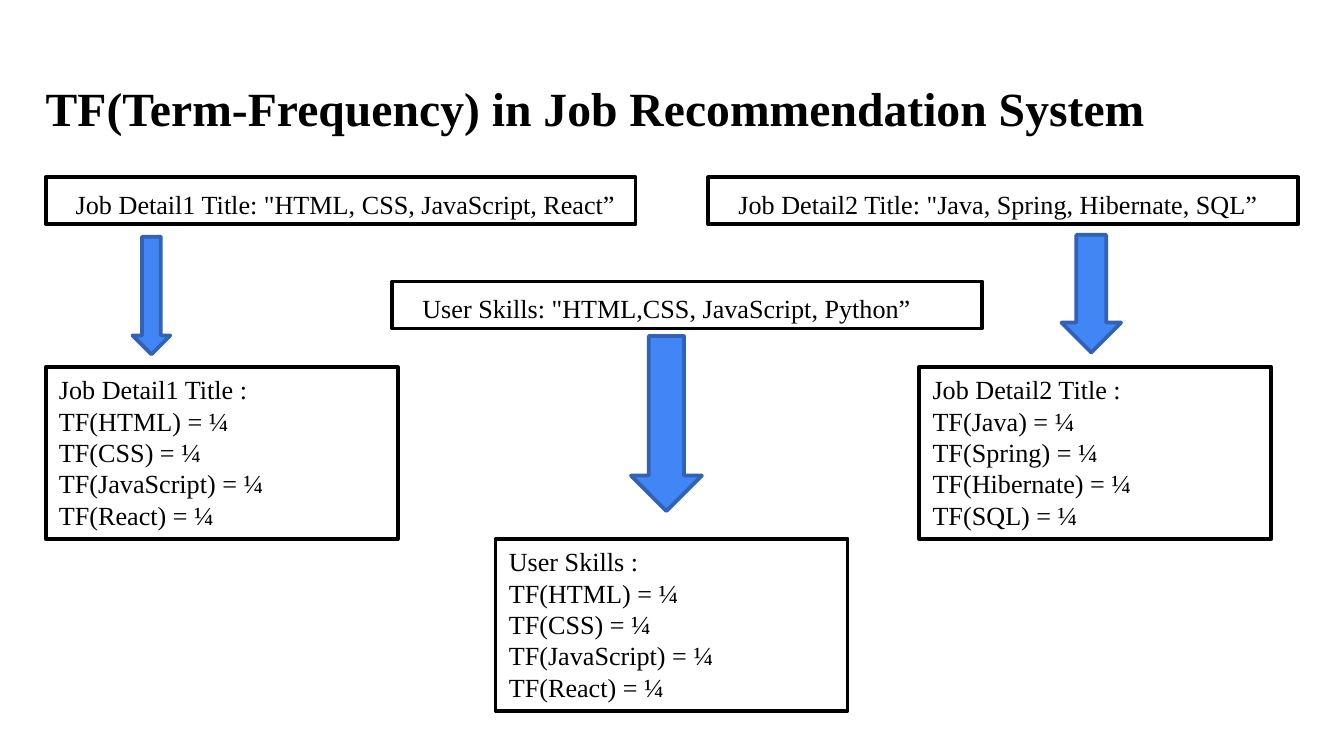
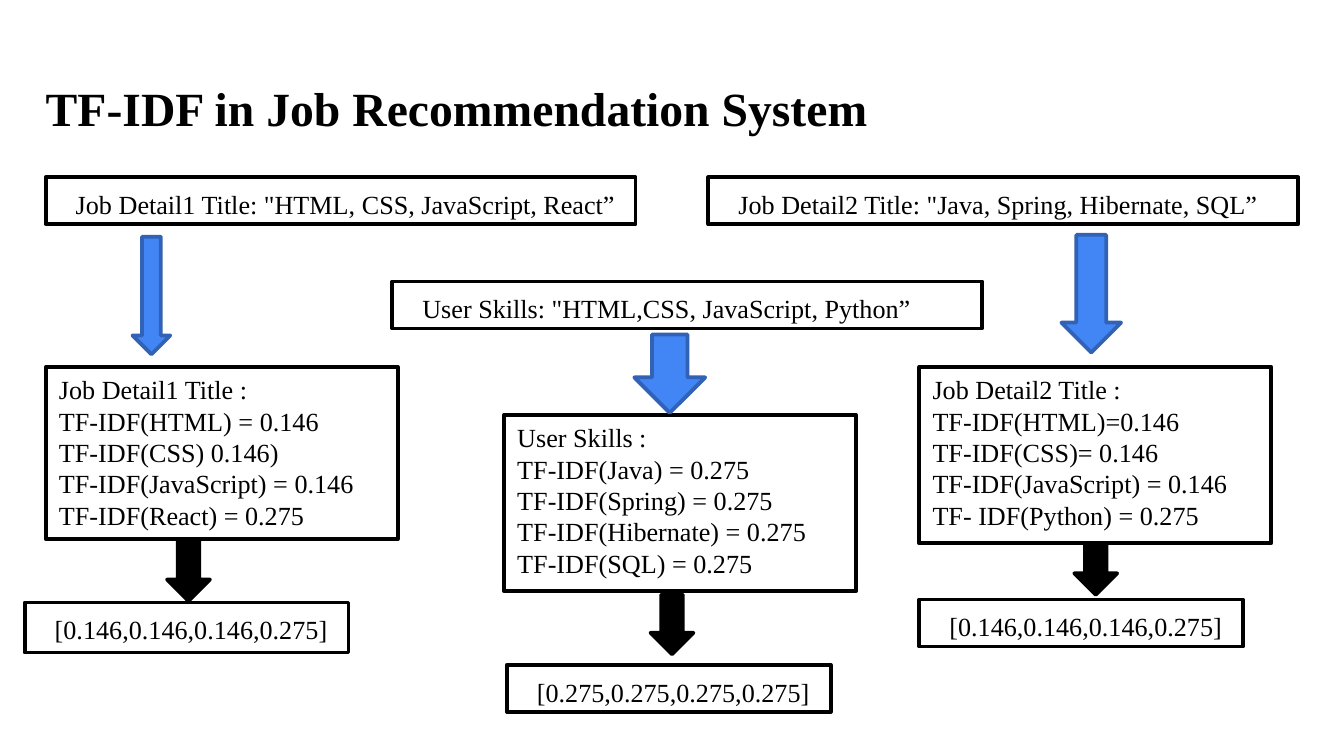
from pptx import Presentation
from pptx.dml.color import RGBColor
from pptx.enum.shapes import MSO_SHAPE as SHAPE
from pptx.enum.text import MSO_ANCHOR as ANCHOR, PP_ALIGN as ALIGN
from pptx.util import Pt

# Shared look
BLACK = RGBColor(0x00, 0x00, 0x00)
WHITE = RGBColor(0xFF, 0xFF, 0xFF)
BLUE = RGBColor(0x42, 0x85, 0xF4)
DARK_BLUE = RGBColor(0x31, 0x62, 0xB5)
FONT = "Times New Roman"

# Shared grid, in points
LEFT = 24.5
RIGHT = 492.5
CONTENT_WIDTH = 671
BAR_WIDTH, BAR_HEIGHT = 316, 25.2
CARD_WIDTH = 188.6
CARD_TOP = 196.6
VECTOR_WIDTH = 173.5


def write_text(frame, text, size=14, bold=False, indent=0, spacing=1.0):
    """Fill a text frame, one paragraph per line of text."""
    frame.word_wrap = True
    frame.vertical_anchor = ANCHOR.TOP
    for number, line in enumerate(text.split("\n")):
        paragraph = frame.add_paragraph() if number else frame.paragraphs[0]
        paragraph.alignment = ALIGN.LEFT
        paragraph.line_spacing = spacing
        if indent:
            paragraph._p.get_or_add_pPr().set("marL", str(Pt(indent)))
        run = paragraph.add_run()
        run.text = line
        run.font.name = FONT
        run.font.size = Pt(size)
        run.font.bold = bold
        run.font.color.rgb = BLACK


def add_block(slide, kind, place, fill, outline):
    """Add an outlined preset shape at (left, top, width, height)."""
    block = slide.shapes.add_shape(kind, *[Pt(length) for length in place])
    block.shadow.inherit = False
    block.fill.solid()
    block.fill.fore_color.rgb = fill
    block.line.color.rgb = outline
    block.line.width = Pt(2)
    return block


# Bars and side arrows found on both slides
bars = [
    (379.5, 95, 'Job Detail2 Title: "Java, Spring, Hibernate, SQL”'),
    (LEFT, 95, 'Job Detail1 Title: "HTML, CSS, JavaScript, React”'),
    (210.2, 150.8, 'User Skills: "HTML,CSS, JavaScript, Python”'),
]
side_arrows = [(568.6, 125.8, 32, 63), (71, 126.8, 20.2, 63)]

# Cards: left, top, height, text
tf_cards = [
    (LEFT, CARD_TOP, 92.2,
     "Job Detail1 Title :\nTF(HTML) = ¼\nTF(CSS) = ¼\n"
     "TF(JavaScript) = ¼\nTF(React) = ¼"),
    (RIGHT, CARD_TOP, 92.2,
     "Job Detail2 Title :\nTF(Java) = ¼\nTF(Spring) = ¼\n"
     "TF(Hibernate) = ¼\nTF(SQL) = ¼"),
    (265.5, 288.7, 92.2,
     "User Skills :\nTF(HTML) = ¼\nTF(CSS) = ¼\n"
     "TF(JavaScript) = ¼\nTF(React) = ¼"),
]
tf_idf_cards = [
    (LEFT, CARD_TOP, 92.2,
     "Job Detail1 Title :\nTF-IDF(HTML) = 0.146\nTF-IDF(CSS) 0.146)\n"
     "TF-IDF(JavaScript) = 0.146\nTF-IDF(React) = 0.275"),
    (RIGHT, CARD_TOP, 94.5,
     "Job Detail2 Title :\nTF-IDF(HTML)=0.146\nTF-IDF(CSS)= 0.146\n"
     "TF-IDF(JavaScript) = 0.146\nTF- IDF(Python) = 0.275"),
    (270, 222.3, 94.5,
     "User Skills :\nTF-IDF(Java) = 0.275\nTF-IDF(Spring) = 0.275\n"
     "TF-IDF(Hibernate) = 0.275\nTF-IDF(SQL) = 0.275"),
]

# Vectors: left, top, height, text; and the black arrows leading to them
vectors = [
    (13.2, 322.8, 26.8, "[0.146,0.146,0.146,0.275]"),
    (271.5, 356.2, BAR_HEIGHT, "[0.275,0.275,0.275,0.275]"),
    (RIGHT, 321.2, BAR_HEIGHT, "[0.146,0.146,0.146,0.275]"),
]
vector_arrows = [(89.5, 290, 23, 32), (348.5, 318.5, 23, 32),
                 (575.5, 291.6, 23, 27)]

pages = [
    ("TF(Term-Frequency) in Job Recommendation System",
     tf_cards, (338, 180, 38, 93.8), [], []),
    ("TF-IDF in Job Recommendation System",
     tf_idf_cards, (339.8, 179.2, 38, 42), vectors, vector_arrows),
]

deck = Presentation()
deck.slide_width, deck.slide_height = Pt(720), Pt(405)

for heading, cards, user_arrow, page_vectors, black_arrows in pages:
    slide = deck.slides.add_slide(deck.slide_layouts[6])

    # Title
    title = slide.shapes.add_textbox(
        Pt(LEFT), Pt(35.3), Pt(CONTENT_WIDTH), Pt(45.4)).text_frame
    title.margin_left = title.margin_right = 0
    title.margin_top = title.margin_bottom = Pt(7.2)
    write_text(title, heading, size=25.5, bold=True)

    # Score cards
    for left, top, height, scores in cards:
        card = add_block(slide, SHAPE.RECTANGLE,
                         (left, top, CARD_WIDTH, height), WHITE, BLACK)
        write_text(card.text_frame, scores)

    # Input bars and result vectors
    strips = [(left, top, BAR_WIDTH, BAR_HEIGHT, text)
              for left, top, text in bars]
    strips += [(left, top, VECTOR_WIDTH, height, text)
               for left, top, height, text in page_vectors]
    for *place, text in strips:
        strip = add_block(slide, SHAPE.RECTANGLE, place, WHITE, BLACK)
        write_text(strip.text_frame, text, indent=9, spacing=1.15)

    # Arrows
    for place in [user_arrow] + side_arrows:
        add_block(slide, SHAPE.DOWN_ARROW, place, BLUE, DARK_BLUE)
    for place in black_arrows:
        add_block(slide, SHAPE.DOWN_ARROW, place, BLACK, BLACK)

deck.save("out.pptx")
